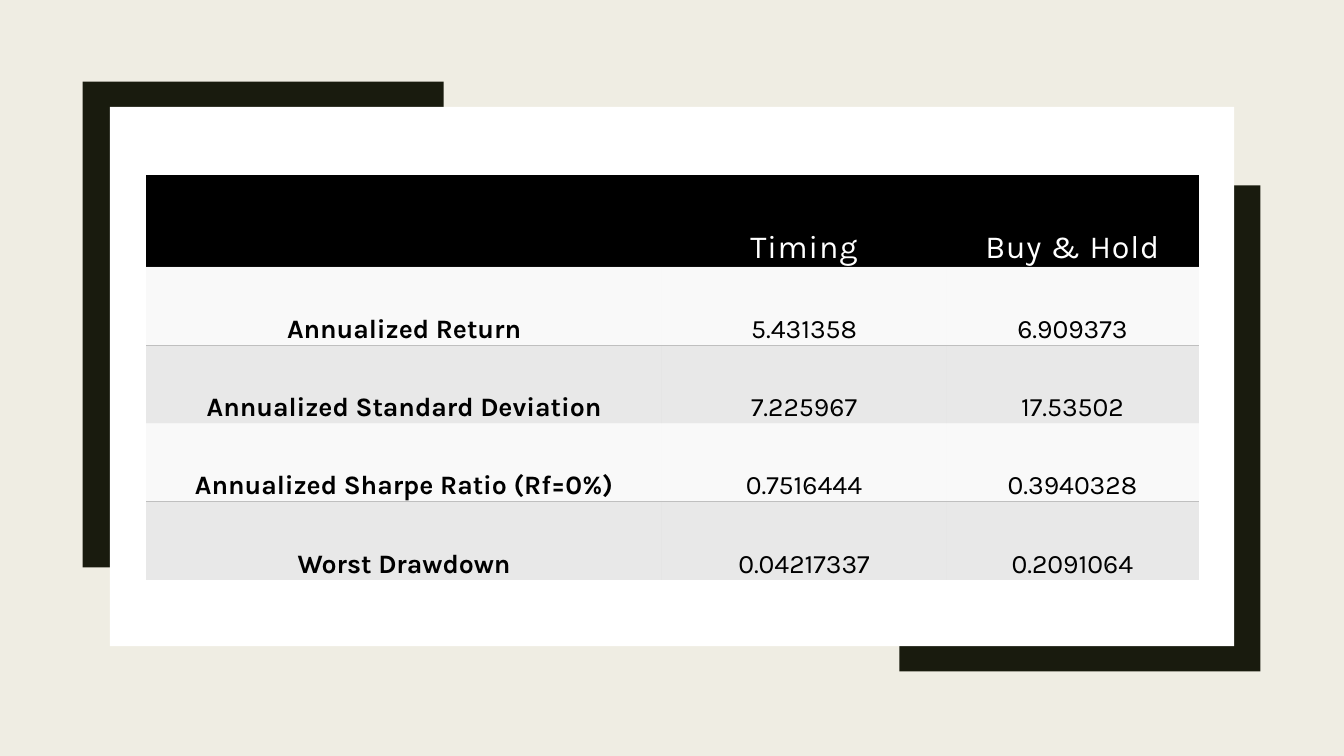
import pptx
import pptx.util
import pptx.dml.color
import pptx.enum.shapes
import pptx.enum.text
import pptx.oxml
import pptx.oxml.ns
from dataclasses import dataclass

Inches = pptx.util.Inches


@dataclass(frozen=True)
class Theme:
    font: str = "Karla"
    background: str = "EFEDE3"
    bracket: str = "191B0E"
    white: str = "FFFFFF"
    black: str = "000000"
    odd_row: str = "F2F2F2"
    even_row: str = "BFBFBF"
    rule: str = "BFBFBF"
    header_size: int = 23
    body_size: int = 19


THEME = Theme()
ROWS = [
    ("", "Timing", "Buy & Hold"),
    ("Annualized Return", "5.431358", "6.909373"),
    ("Annualized Standard Deviation", "7.225967", "17.53502"),
    ("Annualized Sharpe Ratio (Rf=0%)", "0.7516444", "0.3940328"),
    ("Worst Drawdown", "0.04217337", "0.2091064"),
]


def rgb(color):
    return pptx.dml.color.RGBColor.from_string(color)


def xml(tag, attributes="", content=""):
    namespace = pptx.oxml.ns.nsdecls("a")
    return pptx.oxml.parse_xml(f"<a:{tag} {namespace} {attributes}>{content}</a:{tag}>")


def paint(sp, color):
    sp.shadow.inherit = False
    sp.fill.solid()
    sp.fill.fore_color.rgb = rgb(color)
    sp.line.fill.background()


def add_text(tf, text, size, color, bold=False, spacing=0):
    p = tf.paragraphs[0]
    p.alignment = pptx.enum.text.PP_ALIGN.CENTER
    p.line_spacing = 2.0
    p.font.size = pptx.util.Pt(size)
    if text:
        r = p.add_run()
        r.text = text
        r.font.name = THEME.font
        r.font.size = pptx.util.Pt(size)
        r.font.bold = bold
        r.font.color.rgb = rgb(color)
        r.font._element.set("spc", str(spacing))


def fill_cell(cell, color, opacity=100):
    cell.fill.solid()
    cell.fill.fore_color.rgb = rgb(color)
    if opacity < 100:
        srgb = cell._tc.tcPr.find(".//" + pptx.oxml.ns.qn("a:srgbClr"))
        srgb.append(xml("alpha", f'val="{opacity * 1000}"'))


def set_borders(cell, ruled_side):
    for i, side in enumerate("LRTB"):
        if side == ruled_side:
            line = f'<a:solidFill><a:srgbClr val="{THEME.rule}"/></a:solidFill>'
        else:
            line = "<a:noFill/>"
        cell._tc.get_or_add_tcPr().insert(i, xml(f"ln{side}", 'w="12700"', line))


def add_bracket(s, left, top, width, height, turned=False):
    outline = [(0, 0), (width, 0), (width, 0.42), (0.45, 0.42), (0.45, height), (0, height)]
    if turned:
        outline = [(width - x, height - y) for x, y in outline]
    points = [(Inches(left + x), Inches(top + y)) for x, y in outline]
    builder = s.shapes.build_freeform(*points[0])
    builder.add_line_segments(points[1:], close=True)
    paint(builder.convert_to_shape(), THEME.bracket)


def add_panel(s, left, top, width, height):
    sp = s.shapes.add_shape(
        pptx.enum.shapes.MSO_SHAPE.RECTANGLE,
        Inches(left), Inches(top), Inches(width), Inches(height))
    paint(sp, THEME.white)


def add_results_table(s, left, top, width, height):
    table = s.shapes.add_table(
        len(ROWS), len(ROWS[0]),
        Inches(left), Inches(top), Inches(width), Inches(height)).table
    for column, share in zip(table.columns, (0.49, 0.27, 0.24)):
        column.width = Inches(width * share)
    header_height = 0.87
    for i, values in enumerate(ROWS):
        body_height = (height - header_height) / (len(ROWS) - 1)
        table.rows[i].height = Inches(body_height if i else header_height)
        for j, text in enumerate(values):
            cell = table.cell(i, j)
            cell.margin_left = cell.margin_right = Inches(0.12)
            cell.margin_top, cell.margin_bottom = Inches(0.16), 0
            if i == 0:
                cell.vertical_anchor = pptx.enum.text.MSO_ANCHOR.MIDDLE
                add_text(cell.text_frame, text, THEME.header_size, THEME.white, spacing=60)
                fill_cell(cell, THEME.black)
                set_borders(cell, None)
            else:
                add_text(cell.text_frame, text, THEME.body_size, THEME.black, bold=j == 0)
                if i % 2:
                    fill_cell(cell, THEME.odd_row, 45)
                    set_borders(cell, "B")
                else:
                    fill_cell(cell, THEME.even_row, 35)
                    set_borders(cell, "T")


def main():
    prs = pptx.Presentation()
    prs.slide_width, prs.slide_height = Inches(13.33), Inches(7.5)
    s = prs.slides.add_slide(prs.slide_layouts[6])
    s.background.fill.solid()
    s.background.fill.fore_color.rgb = rgb(THEME.background)
    add_bracket(s, 8.92, 1.84, 3.58, 4.82, turned=True)
    add_bracket(s, 0.82, 0.81, 3.58, 4.82)
    add_panel(s, 1.09, 1.06, 11.15, 5.35)
    add_results_table(s, 1.45, 1.74, 10.44, 3.97)
    prs.save("out.pptx")


if __name__ == "__main__":
    main()
